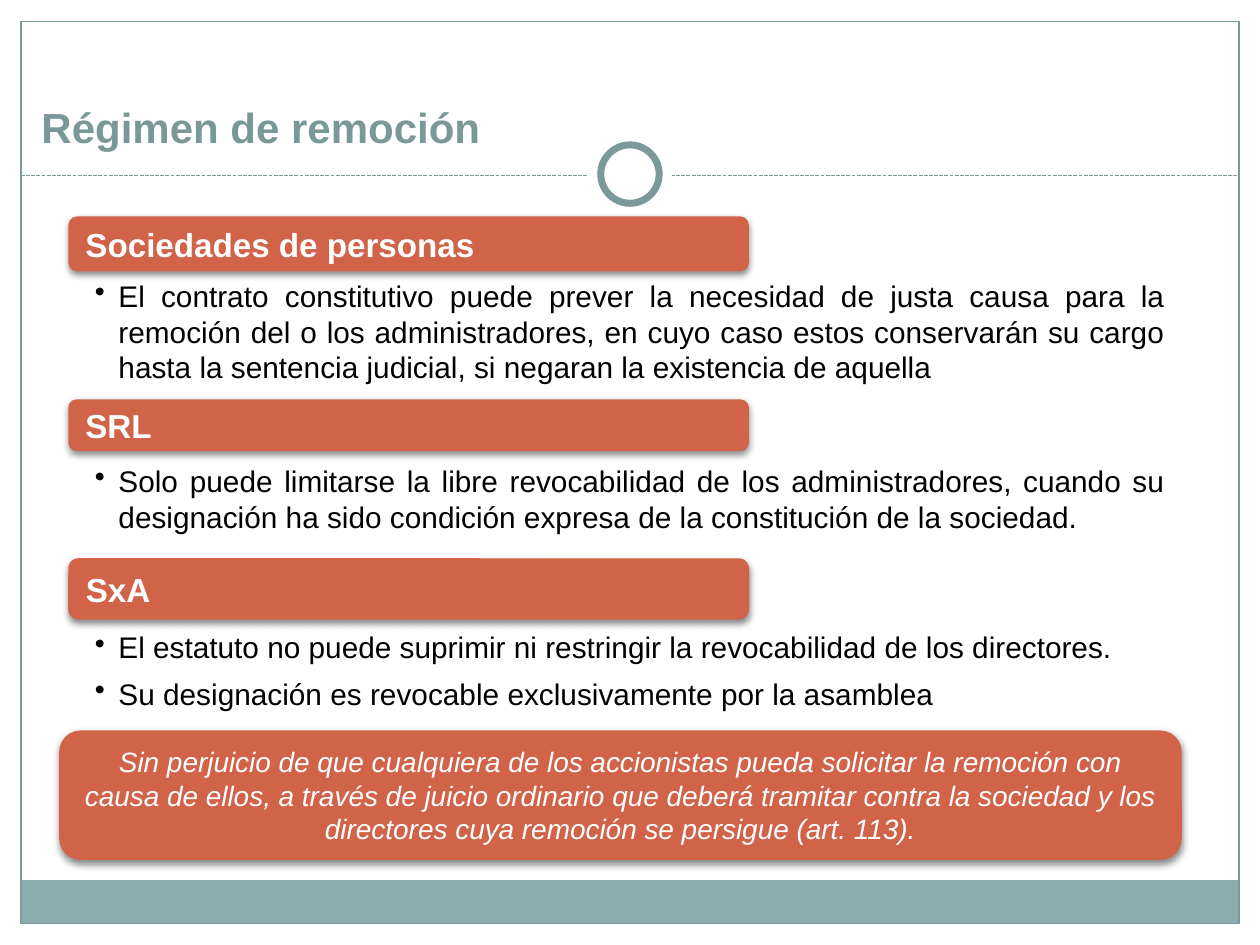
from pptx import Presentation
from pptx.dml.color import RGBColor
from pptx.enum.dml import MSO_LINE
from pptx.enum.shapes import MSO_CONNECTOR, MSO_SHAPE
from pptx.enum.text import MSO_ANCHOR, PP_ALIGN
from pptx.oxml import parse_xml
from pptx.oxml.ns import nsdecls, qn
from pptx.util import Pt

COLORS = {"white": "FFFFFF", "black": "000000", "teal": "8CADAE",
          "frame": "7C999A", "title": "7B9899", "red": "D16349"}


class SlideBuilder:
    """Holds the style and the current slide, and draws each kind of element."""

    font = "Arial"

    def __init__(self, prs):
        self.s = prs.slides.add_slide(prs.slide_layouts[6])

    def color(self, name):
        return RGBColor.from_string(COLORS[name])

    def shape(self, kind, box, fill=None, line=None, width=0.75):
        sp = self.s.shapes.add_shape(kind, *map(Pt, box))
        sp.shadow.inherit = False
        if fill:
            sp.fill.solid()
            sp.fill.fore_color.rgb = self.color(fill)
        else:
            sp.fill.background()
        if line:
            sp.line.color.rgb = self.color(line)
            sp.line.width = Pt(width)
        else:
            sp.line.fill.background()
        return sp

    def dashed_line(self, x1, x2, y):
        cn = self.s.shapes.add_connector(MSO_CONNECTOR.STRAIGHT, Pt(x1), Pt(y), Pt(x2), Pt(y))
        cn.line.color.rgb = self.color("frame")
        cn.line.width = Pt(0.75)
        cn.line.dash_style = MSO_LINE.SQUARE_DOT
        cn._element.spPr.append(parse_xml(f"<a:effectLst {nsdecls('a')}/>"))

    def frame_text(self, sp, insets, anchor):
        tf = sp.text_frame
        tf.word_wrap = True
        tf.vertical_anchor = anchor
        tf.margin_left, tf.margin_top, tf.margin_right, tf.margin_bottom = map(Pt, insets)
        return tf

    def add_text(self, p, text, size, color, align, after=6, bold=False, italic=False):
        p.alignment = align
        p.space_after = Pt(after)
        r = p.add_run()
        r.text = text
        r.font.name = self.font
        r.font.size = Pt(size)
        r.font.bold = bold
        r.font.italic = italic
        r.font.color.rgb = self.color(color)

    def title(self, text, box):
        tf = self.frame_text(self.s.shapes.add_textbox(*map(Pt, box)),
                             (7.2, 3.6, 7.2, 3.6), MSO_ANCHOR.BOTTOM)
        self.add_text(tf.paragraphs[0], text, 24, "title", PP_ALIGN.LEFT, after=0, bold=True)

    def card(self, text, box, size, align, **style):
        sp = self.shape(MSO_SHAPE.ROUNDED_RECTANGLE, box, "red")
        sp._element.spPr.find(qn("a:effectLst")).append(parse_xml(
            f'<a:outerShdw {nsdecls("a")} blurRad="{Pt(4)}" dist="{Pt(2)}" dir="5400000" '
            f'rotWithShape="0"><a:srgbClr val="{COLORS["black"]}">'
            '<a:alpha val="45000"/></a:srgbClr></a:outerShdw>'))
        tf = self.frame_text(sp, (8.3, 5, 8.3, 5), MSO_ANCHOR.MIDDLE)
        self.add_text(tf.paragraphs[0], text, size, "white", align, **style)

    def bullets(self, items, box):
        tf = self.frame_text(self.s.shapes.add_textbox(*map(Pt, box)),
                             (20.4, 1.7, 9.5, 1.7), MSO_ANCHOR.TOP)
        for i, item in enumerate(items):
            p = tf.add_paragraph() if i else tf.paragraphs[0]
            self.add_text(p, item, 17, "black", PP_ALIGN.JUSTIFY)
            pPr = p._p.get_or_add_pPr()
            pPr.set("marL", str(Pt(13.5)))
            pPr.set("indent", str(-Pt(13.5)))
            pPr.append(parse_xml(f'<a:buChar {nsdecls("a")} char="•"/>'))


def main():
    """Build the slide and save it."""
    prs = Presentation()
    prs.slide_width, prs.slide_height = Pt(720), Pt(540)
    b = SlideBuilder(prs)

    b.shape(MSO_SHAPE.RECTANGLE, (11.8, 503, 696, 24.5), "teal")
    b.shape(MSO_SHAPE.RECTANGLE, (12, 12.2, 696, 515.5), line="frame")
    b.dashed_line(12, 708, 100.5)
    for size, line in ((48, None), (33.4, "frame")):
        b.shape(MSO_SHAPE.OVAL, (360 - size / 2, 99.5 - size / 2, size, size), "white", line, 4)
    b.title("Régimen de remoción", (16.6, 30.2, 672, 60))

    sections = [
        ("Sociedades de personas", 123.6, 31.5, 157, 62.6, [
            "El contrato constitutivo puede prever la necesidad de justa causa para la remoción "
            "del o los administradores, en cuyo caso estos conservarán su cargo hasta la "
            "sentencia judicial, si negaran la existencia de aquella"]),
        ("SRL", 228.2, 29.6, 262.8, 97.2, [
            "Solo puede limitarse la libre revocabilidad de los administradores, cuando su "
            "designación ha sido condición expresa de la constitución de la sociedad."]),
        ("SxA", 319, 35, 357.8, 62.6, [
            "El estatuto no puede suprimir ni restringir la revocabilidad de los directores.",
            "Su designación es revocable exclusivamente por la asamblea"]),
    ]
    for name, top, height, body_top, body_height, items in sections:
        b.card(name, (39, top, 389, height), 19, PP_ALIGN.JUSTIFY, bold=True)
        b.bullets(items, (33.8, body_top, 641.5, body_height))

    b.card("Sin perjuicio de que cualquiera de los accionistas pueda solicitar la remoción con "
           "causa de ellos, a través de juicio ordinario que deberá tramitar contra la sociedad "
           "y los directores cuya remoción se persigue (art. 113).",
           (33.8, 417.4, 641.5, 74), 16, PP_ALIGN.CENTER, italic=True)
    prs.save("out.pptx")


if __name__ == "__main__":
    main()
